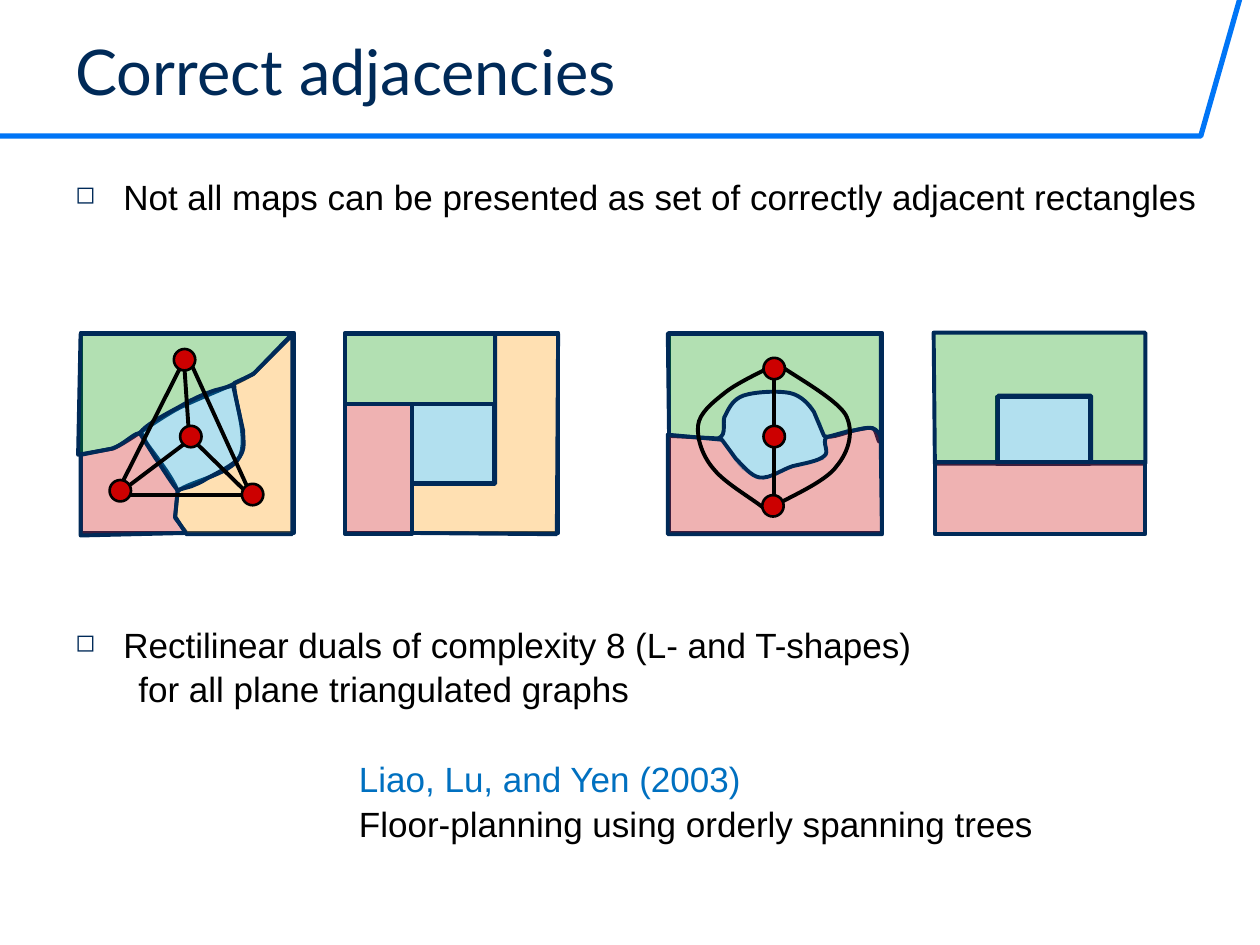
from lxml import etree
from pptx import Presentation, util as u
from pptx.dml.color import RGBColor
from pptx.enum import shapes, text
from pptx.oxml.ns import qn

COLORS = {"navy": "002A58", "header": "0075F6", "black": "000000", "cite": "0070C0",
          "green": "009900", "red": "CC0000", "orange": "FF9900", "blue": "0099CC"}


def rgb(name):
    return RGBColor.from_string(COLORS[name])


class MapSlide:
    border = "navy"
    border_width = 2.25
    region_alpha = 30
    node_size = 0.17

    def __init__(self, slide):
        self.slide = slide
        self.shapes = slide.shapes

    def paint(self, shape, fill=None, line=border, width=border_width, alpha=None):
        shape.shadow.inherit = False
        if fill:
            shape.fill.solid()
            shape.fill.fore_color.rgb = rgb(fill)
            if alpha:
                color = shape.fill._xPr.find(qn("a:solidFill"))[0]
                etree.SubElement(color, qn("a:alpha"), val=str(alpha * 1000))
        else:
            shape.fill.background()
        if line:
            shape.line.color.rgb = rgb(line)
            shape.line.width = u.Pt(width)
        else:
            shape.line.fill.background()

    def rect(self, box, fill=None):
        shape = self.shapes.add_shape(shapes.MSO_SHAPE.RECTANGLE, *map(u.Inches, box))
        self.paint(shape, fill, alpha=self.region_alpha)

    def outline(self, path, close):
        """Draw points (x, y) and cubic curves (x1, y1, x2, y2, x, y)."""
        start, *ends = [tuple(map(u.Inches, step[-2:])) for step in path]
        builder = self.shapes.build_freeform(*start)
        builder.add_line_segments(ends, close=close)
        shape = builder.convert_to_shape()
        # Bend the segments that have control points
        segments = list(shape._element.iter(qn("a:lnTo")))
        for segment, step in zip(segments, path[1:]):
            if len(step) == 6:
                segment.tag = qn("a:cubicBezTo")
                for i in (0, 1):
                    x, y = map(u.Inches, step[2 * i:2 * i + 2])
                    control = segment.makeelement(qn("a:pt"), {"x": str(x - shape.left),
                                                               "y": str(y - shape.top)})
                    segment.insert(i, control)
        return shape

    def region(self, fill, path, line=border):
        self.paint(self.outline(path, True), fill, line, alpha=self.region_alpha)

    def curve(self, path, line="black", width=border_width):
        self.paint(self.outline(path, False), None, line, width)

    def edge(self, *ends):
        line = self.shapes.add_connector(shapes.MSO_CONNECTOR.STRAIGHT, *map(u.Inches, ends))
        line.line.color.rgb = rgb("black")
        line.line.width = u.Pt(self.border_width)
        etree.SubElement(line._element.spPr, qn("a:effectLst"))

    def node(self, left, top):
        size = u.Inches(self.node_size)
        shape = self.shapes.add_shape(shapes.MSO_SHAPE.OVAL, u.Inches(left), u.Inches(top),
                                      size, size)
        self.paint(shape, "red", "black", 1.5)

    def textbox(self, box, paragraphs, anchor=text.MSO_ANCHOR.TOP):
        """Each paragraph: wording, font name, size, colour, paragraph format, margin, bullet."""
        frame = self.shapes.add_textbox(*map(u.Inches, box)).text_frame
        frame.word_wrap = True
        frame.vertical_anchor = anchor
        for i, (wording, font, size, color, layout, margin, bullet) in enumerate(paragraphs):
            para = frame.paragraphs[0] if i == 0 else frame.add_paragraph()
            props = para._p.get_or_add_pPr()
            props.set("marL", str(u.Inches(margin)))
            props.set("indent", str(u.Inches(-margin if bullet else 0)))
            if bullet:
                tint = etree.SubElement(props, qn("a:buClr"))
                etree.SubElement(tint, qn("a:srgbClr"), val=COLORS["navy"])
                etree.SubElement(props, qn("a:buSzPct"), val="70000")
                etree.SubElement(props, qn("a:buChar"), char=bullet)
            for name, value in layout.items():
                setattr(para, name, value)
            run = para.add_run()
            run.text = wording
            for name, value in {"name": font, "size": u.Pt(size)}.items():
                setattr(run.font, name, value)
            run.font.color.rgb = rgb(color)


def body(wording, before, margin, color="black", bullet=None):
    layout = {"line_spacing": 0.9, "space_before": u.Pt(before)}
    return wording, "Arial", 20, color, layout, margin, bullet


def main():
    deck = Presentation()
    deck.slide_width, deck.slide_height = u.Inches(10), u.Inches(7.5)
    page = MapSlide(deck.slides.add_slide(deck.slide_layouts[6]))

    # Header rule, title and body
    page.curve([(0, 1.08), (9.53, 1.08), (9.84, -0.01)], "header", 3)
    page.textbox((0.5, 0.2, 9.28, 0.71),
                 [("Correct adjacencies", "Lato", 36, "navy", {}, 0, None)],
                 text.MSO_ANCHOR.BOTTOM)
    page.textbox((0.5, 1.38, 9.28, 5.81), [
        body("Not all maps can be presented as set of correctly adjacent rectangles",
             0, 0.38, bullet="◻"),
        body("Rectilinear duals of complexity 8 (L- and T-shapes)", 234.4, 0.38, bullet="◻"),
        body("for all plane triangulated graphs", 3.8, 0.5),
        body("Liao, Lu, and Yen (2003)", 29.8, 2.25, "cite"),
        body("Floor-planning using orderly spanning trees", 4, 2.25),
    ])

    # Map with four mutually adjacent regions
    page.rect((0.64, 2.64, 1.69, 1.59))
    page.region("green", [(0.64, 2.65), (2.32, 2.65), (2.02, 2.96),
                          (1.87, 3.06, 1.59, 3.15, 1.4, 3.25),
                          (1.22, 3.35, 1.03, 3.5, 0.9, 3.56), (0.62, 3.61)])
    page.region("red", [(0.64, 3.61), (0.64, 4.25), (1.48, 4.23), (1.39, 4.11), (1.41, 3.9),
                        (1.38, 3.8, 1.23, 3.61, 1.18, 3.54),
                        (1.12, 3.46, 1.15, 3.43, 1.1, 3.44),
                        (1.06, 3.44, 0.98, 3.53, 0.89, 3.56)])
    page.region("orange", [(2.32, 2.66), (2.32, 4.24), (1.48, 4.24), (1.39, 4.1), (1.41, 3.9),
                           (1.5, 3.82, 1.83, 3.77, 1.9, 3.63),
                           (1.98, 3.48, 1.85, 3.15, 1.86, 3.04), (2.01, 2.97)])
    page.region("blue", [(1.11, 3.44), (1.15, 3.37, 1.35, 3.27, 1.44, 3.22),
                         (1.54, 3.16, 1.64, 3.12, 1.7, 3.1), (1.85, 3.06), (1.93, 3.42),
                         (1.93, 3.51, 1.95, 3.56, 1.9, 3.63),
                         (1.86, 3.69, 1.71, 3.76, 1.64, 3.8),
                         (1.58, 3.84, 1.56, 3.84, 1.52, 3.86), (1.41, 3.89),
                         (1.37, 3.85, 1.28, 3.7, 1.23, 3.63)])

    # Its dual graph
    for ends in [(1.46, 2.86, 0.94, 3.89), (1.5, 2.85, 1.97, 3.88), (0.95, 3.93, 1.98, 3.93),
                 (1.46, 2.86, 1.5, 3.45), (1.52, 3.48, 0.95, 3.91), (1.53, 3.49, 2.01, 3.96)]:
        page.edge(*ends)
    for corner in [(1.43, 3.38), (1.38, 2.77), (0.87, 3.81), (1.92, 3.84)]:
        page.node(*corner)

    # Map with a lake between two regions
    page.rect((5.31, 2.64, 1.69, 1.59))
    page.region("blue", [(5.73, 3.47), (5.73, 3.31), (5.85, 3.15), (6.11, 3.11), (6.33, 3.13),
                         (6.44, 3.21), (6.52, 3.36), (6.54, 3.48), (6.55, 3.56), (6.54, 3.65),
                         (6.38, 3.68), (6.28, 3.71), (6.16, 3.74), (6.03, 3.79), (5.89, 3.73),
                         (5.84, 3.67), (5.76, 3.55)], line=None)
    page.region("green", [(5.3, 2.65), (6.99, 2.65), (6.99, 3.46),
                          (6.98, 3.59, 6.96, 3.41, 6.93, 3.4),
                          (6.9, 3.39, 6.87, 3.4, 6.81, 3.41),
                          (6.74, 3.42, 6.59, 3.49, 6.54, 3.46), (6.46, 3.27),
                          (6.42, 3.21, 6.36, 3.14, 6.27, 3.12),
                          (6.17, 3.1, 5.99, 3.11, 5.9, 3.14),
                          (5.82, 3.17, 5.79, 3.23, 5.76, 3.29),
                          (5.72, 3.34, 5.78, 3.45, 5.7, 3.48), (5.31, 3.46)])
    page.region("red", [(7, 4.24), (5.3, 4.24), (5.3, 3.45), (5.73, 3.49), (5.84, 3.64),
                        (5.89, 3.69, 5.96, 3.78, 6.03, 3.79),
                        (6.11, 3.8, 6.2, 3.73, 6.29, 3.7),
                        (6.37, 3.68, 6.5, 3.66, 6.54, 3.62),
                        (6.59, 3.59, 6.52, 3.51, 6.56, 3.47), (6.74, 3.42),
                        (6.82, 3.42, 6.95, 3.34, 6.99, 3.47)])

    # Its dual graph
    page.edge(6.14, 3.48, 6.14, 2.97)
    page.edge(6.14, 3.4, 6.14, 4.03)
    page.curve([(6.19, 2.9), (6.28, 2.97, 6.63, 3.16, 6.71, 3.29),
                (6.78, 3.42, 6.74, 3.58, 6.64, 3.7), (6.55, 3.83, 6.23, 3.96, 6.12, 4.03)])
    page.curve([(6.18, 2.88), (6.11, 2.92, 5.86, 3.03, 5.75, 3.12),
                (5.65, 3.2, 5.55, 3.28, 5.54, 3.38), (5.53, 3.49, 5.58, 3.63, 5.67, 3.73),
                (5.76, 3.84, 5.99, 3.97, 6.07, 4.04)])
    for corner in [(6.06, 3.38), (6.06, 2.84), (6.05, 3.93)]:
        page.node(*corner)

    # Rectilinear layout of the lake map
    page.rect((7.91, 3.15, 0.74, 0.53), "blue")
    page.region("green", [(9.09, 3.68), (9.09, 2.64), (7.41, 2.64), (7.42, 3.68),
                          (7.92, 3.68), (7.92, 3.14), (8.66, 3.14), (8.66, 3.68)])
    page.rect((7.42, 3.67, 1.67, 0.57), "red")

    # Rectilinear layout of the four-region map
    page.rect((2.74, 2.64, 1.69, 1.59))
    page.region("orange", [(4.43, 2.65), (4.42, 4.24), (3.27, 4.23), (3.27, 3.84),
                           (3.93, 3.84), (3.93, 2.65)])
    page.rect((2.74, 3.21, 0.53, 1.03), "red")
    page.rect((3.27, 3.21, 0.65, 0.62), "blue")
    page.rect((2.74, 2.65, 1.19, 0.56), "green")

    deck.save("out.pptx")


if __name__ == "__main__":
    main()
